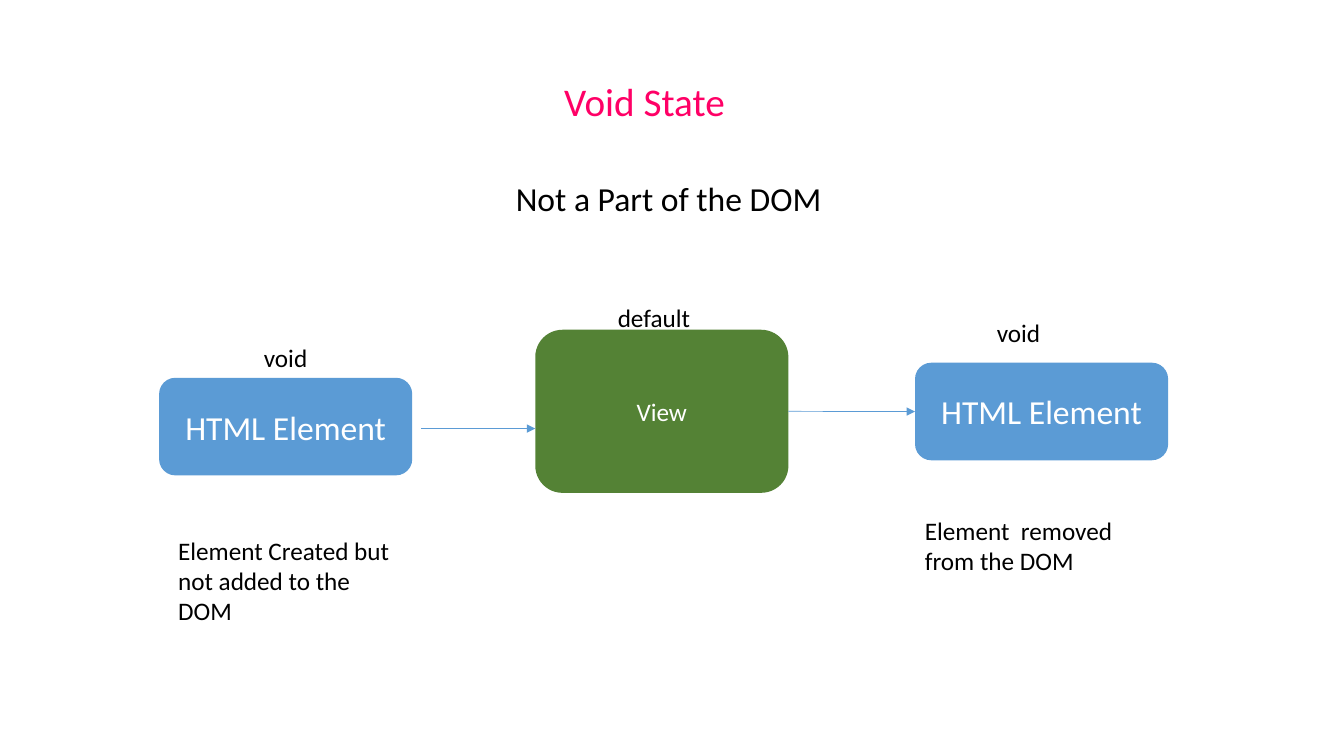
from lxml import etree
from pptx import Presentation
from pptx import util as u
from pptx.dml.color import RGBColor
from pptx.enum import shapes, text
from pptx.oxml.ns import qn

Cm, Pt = u.Cm, u.Pt
HUES = {"pink": "FF0066", "blue": "5B9BD5", "green": "548235",
        "black": "000000", "white": "FFFFFF"}
MID, LEFT = text.PP_ALIGN.CENTER, text.PP_ALIGN.LEFT


def hue(name):
    return RGBColor.from_string(HUES[name])


def write(shape, words, size, tone, align):
    para = shape.text_frame.paragraphs[0]
    para.alignment = align
    run = para.add_run()
    run.text = words
    run.font.color.rgb = hue(tone)
    for key, val in {"name": "Calibri", "size": Pt(size)}.items():
        setattr(run.font, key, val)


deck = Presentation()
deck.slide_width, deck.slide_height = Cm(33.87), Cm(19.05)
slide = deck.slides.add_slide(deck.slide_layouts[6])

# State boxes: left, top, height, fill, words, size
WIDE = 6.38
boxes = []
for x, y, high, fill, words, size in [
    (4.01, 9.52, 2.46, "blue", "HTML Element", 24),
    (13.49, 8.31, 4.11, "green", "View", 18),
    (23.06, 9.14, 2.46, "blue", "HTML Element", 24),
]:
    box = slide.shapes.add_shape(shapes.MSO_SHAPE.ROUNDED_RECTANGLE,
                                 Cm(x), Cm(y), Cm(WIDE), Cm(high))
    box.shadow.inherit = False
    box.fill.solid()
    box.fill.fore_color.rgb = hue(fill)
    box.line.fill.background()
    box.text_frame.vertical_anchor = text.MSO_ANCHOR.MIDDLE
    write(box, words, size, "white", MID)
    boxes.append(box)
start, view, end = boxes

# Arrows: the first stops short of its box, the second joins both boxes
links = [slide.shapes.add_connector(shapes.MSO_CONNECTOR.STRAIGHT,
                                    Cm(x1), Cm(y), Cm(x2), Cm(y))
         for x1, x2, y in [(10.62, 13.49, 10.8), (19.87, 23.06, 10.37)]]
links[1].begin_connect(view, 3)
links[1].end_connect(end, 1)
for link in links:
    link.line.color.rgb = hue("blue")
    link.line.width = Pt(0.5)
    etree.SubElement(link.line._get_or_add_ln(), qn("a:tailEnd"), type="triangle")
    etree.SubElement(link._element.spPr, qn("a:effectLst"))

# Title, labels and notes: left, top, width, height, wrap, words, size, tone, align
for x, y, wide, high, wrap, words, size, tone, align in [
    (13.94, 1.83, 4.6, 1.45, False, "Void State", 28, "pink", MID),
    (12.75, 4.37, 8.28, 1.27, False, "Not a Part of the DOM", 24, "black", LEFT),
    (6.4, 8.51, 1.63, 1.02, False, "void", 18, "black", LEFT),
    (15.32, 7.49, 2.36, 1.02, False, "default", 18, "black", LEFT),
    (24.87, 7.87, 1.63, 1.02, False, "void", 18, "black", LEFT),
    (4.24, 13.36, 5.92, 2.57, True, "Element Created but not added to the DOM",
     18, "black", LEFT),
    (23.06, 12.85, 5.92, 1.8, True, "Element  removed from the DOM",
     18, "black", LEFT),
]:
    note = slide.shapes.add_textbox(Cm(x), Cm(y), Cm(wide), Cm(high))
    form = {"word_wrap": wrap, "auto_size": text.MSO_AUTO_SIZE.SHAPE_TO_FIT_TEXT}
    for key, val in form.items():
        setattr(note.text_frame, key, val)
    write(note, words, size, tone, align)

deck.save("out.pptx")
